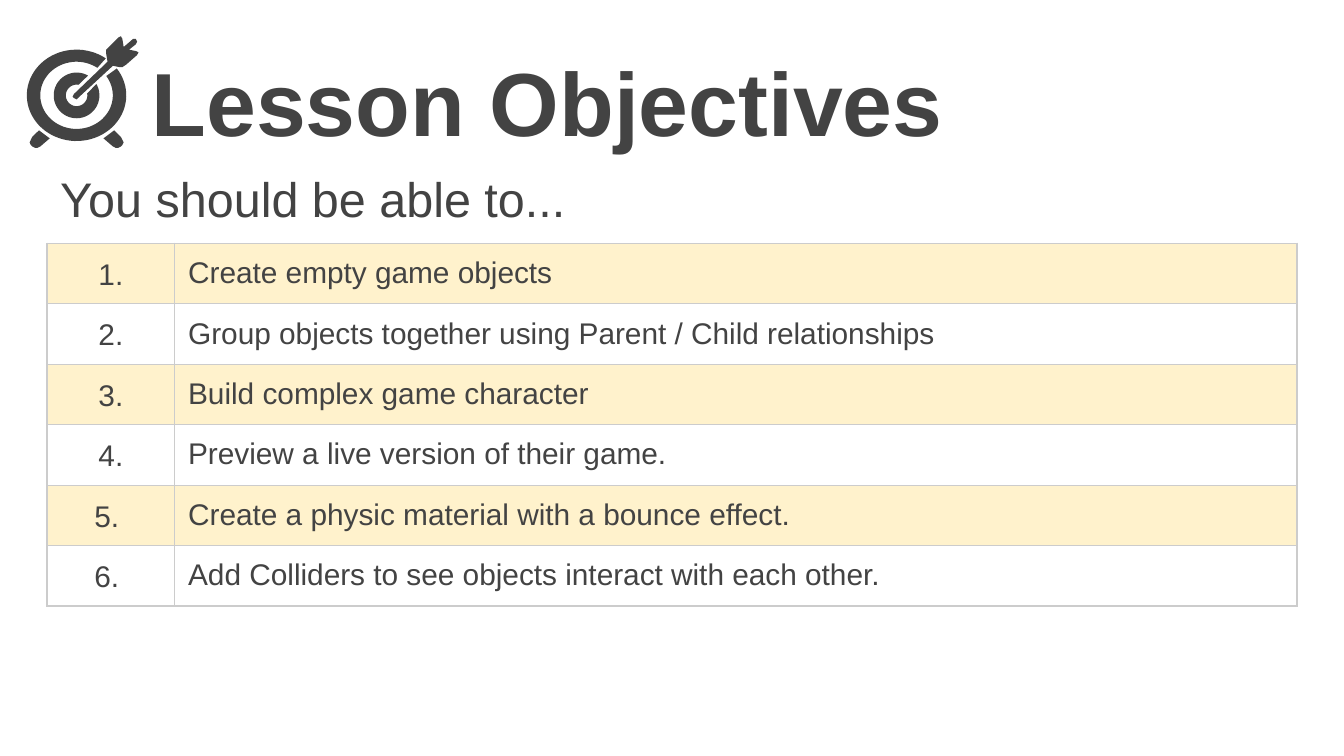
from math import cos, radians, sin

from lxml.etree import SubElement
from pptx import Presentation
from pptx.dml.color import RGBColor
from pptx.enum.text import MSO_ANCHOR as Anchor, PP_ALIGN as Align
from pptx.oxml.ns import qn
from pptx.util import Inches, Pt

DARK = "434343"
CREAM = "FFF2CC"
BORDER = "CCCCCC"
CENTER_X, CENTER_Y = 0.57, 0.71
INSETS = {f"margin_{side}": Inches(0.1) for side in ("left", "top", "right", "bottom")}
CELL_INSETS = {**INSETS, "margin_bottom": Inches(0.08)}

OBJECTIVES = [
    ("1.", "Create empty game objects"),
    ("2.", "Group objects together using Parent / Child relationships"),
    ("3.", "Build complex game character"),
    ("4.", "Preview a live version of their game."),
    ("5. ", "Create a physic material with a bounce effect."),
    ("6. ", "Add Colliders to see objects interact with each other."),
]

LEFT_FOOT = [
    (0.29, 0.97), (0.24, 1.02), (0.23, 1.04), (0.22, 1.06), (0.23, 1.08),
    (0.24, 1.09), (0.26, 1.1), (0.28, 1.1), (0.3, 1.09), (0.37, 1.03), (0.33, 1),
]
ARROW = [
    (0.9, 0.27), (0.88, 0.28), (0.81, 0.35), (0.79, 0.37), (0.79, 0.4),
    (0.8, 0.46), (0.55, 0.7), (0.54, 0.72), (0.55, 0.73), (0.57, 0.74),
    (0.58, 0.73), (0.84, 0.49), (0.89, 0.5), (0.91, 0.5), (0.94, 0.48),
    (1.02, 0.41), (1.03, 0.39), (1.01, 0.38), (0.96, 0.37), (1.01, 0.33),
    (1.02, 0.31), (1.01, 0.29), (0.99, 0.29), (0.92, 0.35), (0.91, 0.29),
]


def color(hex_value):
    return RGBColor.from_string(hex_value)


def set_attributes(target, values):
    for name, value in values.items():
        setattr(target, name, value)


def write_text(frame, text, size, bold=False, align=Align.LEFT):
    paragraph = frame.paragraphs[0]
    paragraph.alignment = align
    run = paragraph.add_run()
    run.text = text
    set_attributes(run.font, {"name": "Arial", "size": Pt(size), "bold": bold})
    run.font.color.rgb = color(DARK)


def add_text(slide, box, text, size, bold=False):
    shape = slide.shapes.add_textbox(*map(Inches, box))
    set_attributes(shape.text_frame, {"word_wrap": True, **INSETS})
    write_text(shape.text_frame, text, size, bold)


def add_outline(slide, points):
    corners = [(Inches(x), Inches(y)) for x, y in points]
    builder = slide.shapes.build_freeform(*corners[0])
    builder.add_line_segments(corners[1:], close=True)
    shape = builder.convert_to_shape()
    shape.shadow.inherit = False
    shape.fill.solid()
    shape.fill.fore_color.rgb = color(DARK)
    shape.line.fill.background()
    return shape


def arc_points(radius_x, radius_y, half_gap):
    start, sweep, steps = half_gap - 45, 360 - 2 * half_gap, 72
    angles = [radians(start + sweep * step / steps) for step in range(steps + 1)]
    return [(CENTER_X + radius_x * cos(angle), CENTER_Y + radius_y * sin(angle))
            for angle in angles]


def open_ring(outer, inner):
    return arc_points(*outer) + arc_points(*inner)[::-1]


def add_target(slide):
    outlines = [
        open_ring((0.37, 0.34, 9), (0.27, 0.25, 10)),
        open_ring((0.17, 0.17, 15), (0.08, 0.08, 35)),
        LEFT_FOOT,
        [(2 * CENTER_X - x, y) for x, y in LEFT_FOOT],
        ARROW,
    ]
    slide.shapes.add_group_shape([add_outline(slide, points) for points in outlines])


def add_borders(cell):
    properties = cell._tc.get_or_add_tcPr()
    for index, tag in enumerate(("a:lnL", "a:lnR", "a:lnT", "a:lnB")):
        line = properties.makeelement(qn(tag), {"w": str(Pt(0.75))})
        fill = SubElement(line, qn("a:solidFill"))
        SubElement(fill, qn("a:srgbClr"), val=BORDER)
        properties.insert(index, line)


def fill_cell(cell, text, banded, align, anchor):
    set_attributes(cell, {"vertical_anchor": anchor, **CELL_INSETS})
    write_text(cell.text_frame, text, 16, align=align)
    if banded:
        cell.fill.solid()
        cell.fill.fore_color.rgb = color(CREAM)
    else:
        cell.fill.background()
    add_borders(cell)


def add_objectives(slide):
    row_height = 0.45
    box = (0.35, 1.81, 9.3, row_height * len(OBJECTIVES))
    table = slide.shapes.add_table(len(OBJECTIVES), 2, *map(Inches, box)).table
    set_attributes(table, {"first_row": False, "horz_banding": False})
    for column, width in zip(table.columns, (0.95, 8.35)):
        column.width = Inches(width)
    for index, (number, objective) in enumerate(OBJECTIVES):
        table.rows[index].height = Inches(row_height)
        banded = index % 2 == 0
        fill_cell(table.cell(index, 0), number, banded, Align.CENTER, Anchor.MIDDLE)
        fill_cell(table.cell(index, 1), objective, banded, Align.LEFT, Anchor.TOP)


def main():
    presentation = Presentation()
    size = {"slide_width": Inches(10), "slide_height": Inches(10 * 9 / 16)}
    set_attributes(presentation, size)
    slide = presentation.slides.add_slide(presentation.slide_layouts[6])
    add_text(slide, (1.03, 0.25, 7.85, 0.87), "Lesson Objectives", 48, bold=True)
    add_target(slide)
    add_objectives(slide)
    add_text(slide, (0.35, 1.16, 9.3, 0.65), "You should be able to...", 26)
    presentation.save("out.pptx")


if __name__ == "__main__":
    main()
